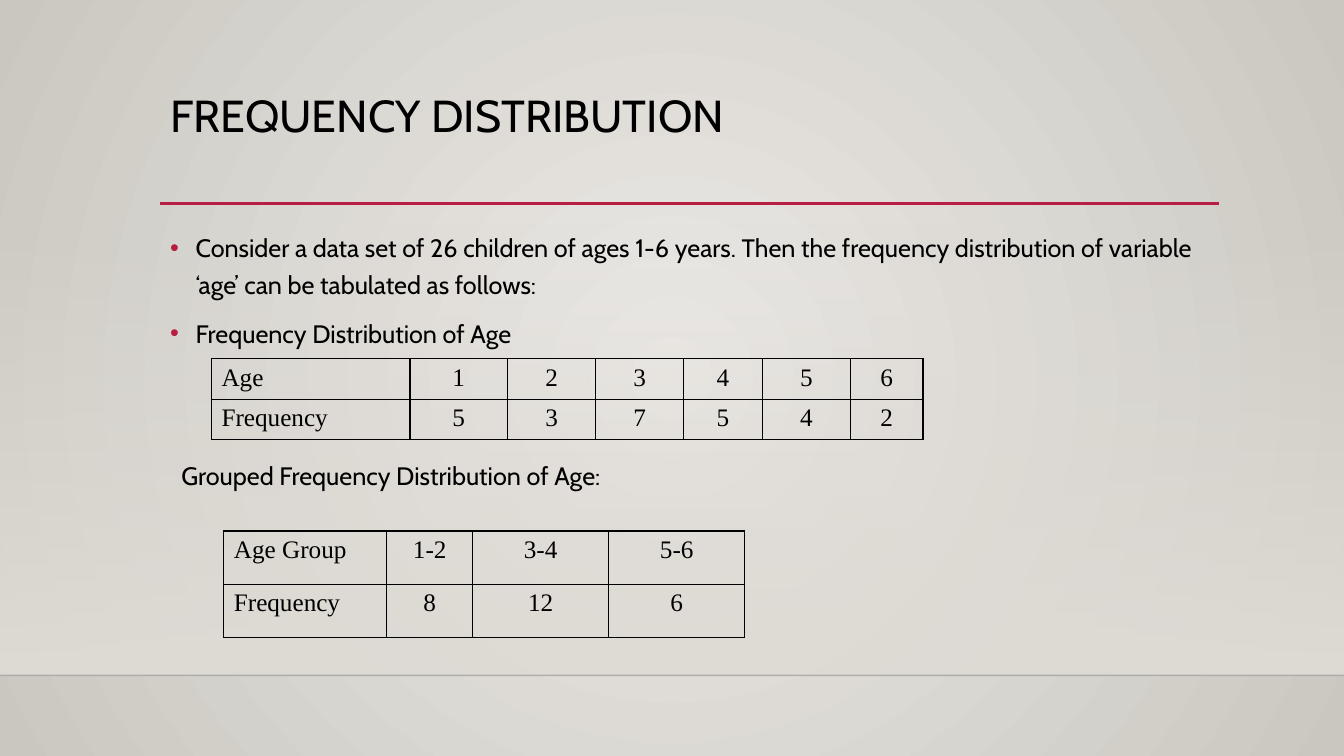
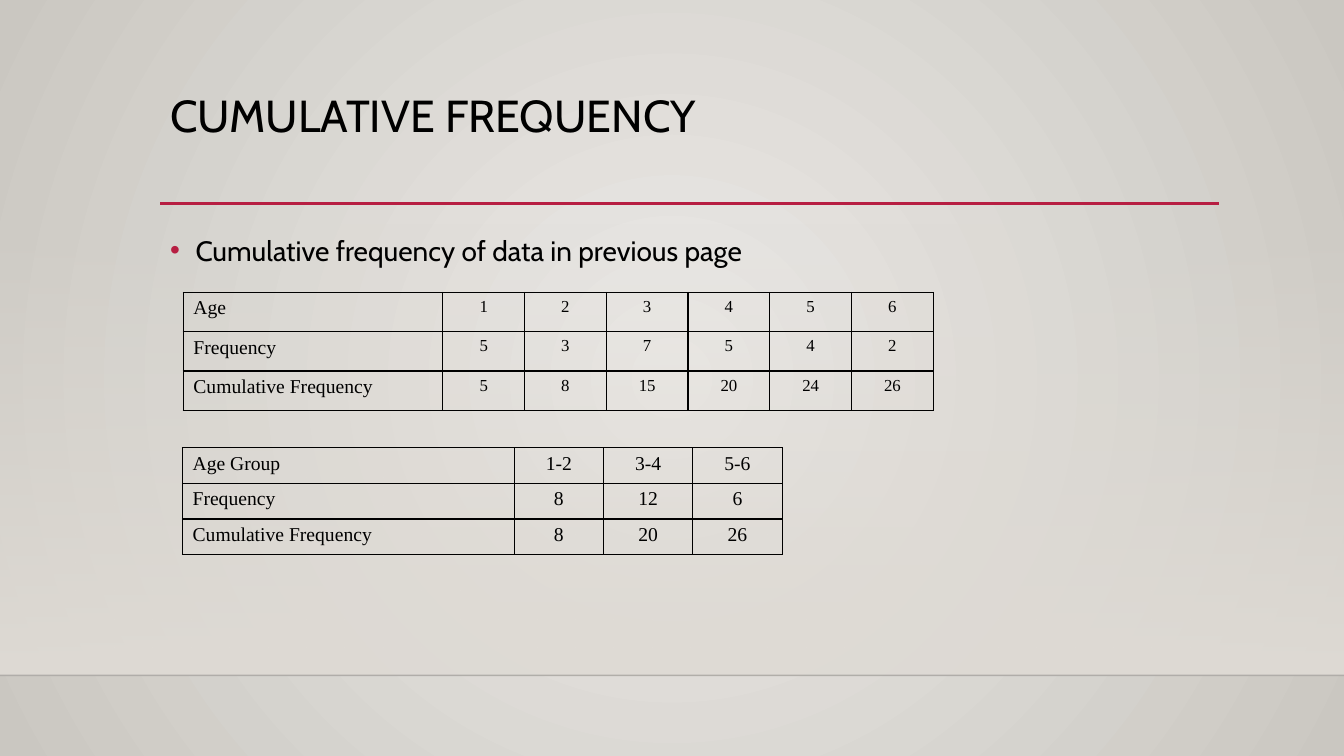
from pptx import Presentation
from pptx.dml.color import RGBColor
from pptx.enum.shapes import MSO_CONNECTOR, MSO_SHAPE
from pptx.enum.text import PP_ALIGN
from pptx.oxml import parse_xml
from pptx.oxml.ns import nsdecls, qn
from pptx.util import Cm, Pt

WIDTH, HEIGHT = 33.87, 19.05
LEFT, CONTENT_WIDTH = 4.04, 26.67
RULE_Y, RULE_RIGHT = 5.13, 30.73
BAND_TOP, FLOOR_Y = 5.61, 17.02
BLACK, CRIMSON, FLOOR_LINE = "000000", "B71E42", "000001"
BACKDROP = [(0, "ECEAE7", 100), (100, "CAC7C1", 100)]
BAND = [(0, "DFDBD5", 0), (100, "DFDBD5", 100)]
SANS, SERIF = "Cabin", "Times New Roman"

SLIDES = [
    {
        "title": "FREQUENCY DISTRIBUTION",
        "bullets": [
            "Consider a data set of 26 children of ages 1-6 years. Then the frequency "
            "distribution of variable ‘age’ can be tabulated as follows: ",
            "Frequency Distribution of Age",
        ],
        "bullet_size": 18,
        "captions": [("Grouped Frequency Distribution of Age:", 4.32, 11.48, 16.94, 1.02)],
        "tables": [
            {
                "at": (5.33, 9.04), "row_height": 0.96, "sizes": (18, 18),
                "columns": [5, 2.46, 2.22, 2.22, 1.98, 2.22, 1.83],
                "rows": [("Age", 1, 2, 3, 4, 5, 6), ("Frequency", 5, 3, 7, 5, 4, 2)],
            },
            {
                "at": (5.64, 13.38), "row_height": 1.34, "sizes": (18, 18),
                "columns": [4.11, 2.16, 3.43, 3.43],
                "rows": [("Age Group", "1-2", "3-4", "5-6"), ("Frequency", 8, 12, 6)],
            },
        ],
    },
    {
        "title": "CUMULATIVE FREQUENCY",
        "bullets": ["Cumulative frequency of data in previous page"],
        "bullet_size": 20,
        "captions": [],
        "tables": [
            {
                "at": (4.62, 7.37), "row_height": 0.99, "sizes": (14, 12),
                "columns": [6.54] + [2.06] * 6,
                "rows": [
                    ("Age", 1, 2, 3, 4, 5, 6),
                    ("Frequency", 5, 3, 7, 5, 4, 2),
                    ("Cumulative Frequency", 5, 8, 15, 20, 24, 26),
                ],
            },
            {
                "at": (4.6, 11.28), "row_height": 0.9, "sizes": (14, 14),
                "columns": [8.36] + [2.25] * 3,
                "rows": [
                    ("Age Group", "1-2", "3-4", "5-6"),
                    ("Frequency", 8, 12, 6),
                    ("Cumulative Frequency", 8, 20, 26),
                ],
            },
        ],
    },
]


def color(code):
    return RGBColor.from_string(code)


def set_gradient(fill, holder, stops, direction):
    fill.solid()
    marks = "".join(
        f'<a:gs pos="{position * 1000}"><a:srgbClr val="{code}">'
        f'<a:alpha val="{opacity * 1000}"/></a:srgbClr></a:gs>'
        for position, code, opacity in stops
    )
    gradient = parse_xml(
        f'<a:gradFill {nsdecls("a")} rotWithShape="1"><a:gsLst>{marks}</a:gsLst>{direction}</a:gradFill>'
    )
    holder.replace(holder.find(qn("a:solidFill")), gradient)


def set_backdrop(master):
    fill = master.background.fill
    fill.solid()
    holder = next(master.element.iter(qn("p:bgPr")))
    center = '<a:fillToRect l="50000" t="50000" r="50000" b="50000"/>'
    set_gradient(fill, holder, BACKDROP, f'<a:path path="circle">{center}</a:path>')


def add_rule(page, left, right, y, code, weight, opacity=100):
    rule = page.shapes.add_connector(MSO_CONNECTOR.STRAIGHT, Cm(left), Cm(y), Cm(right), Cm(y))
    rule.line.width = Pt(weight)
    rule.line.color.rgb = color(code)
    tint = next(rule.element.iter(qn("a:srgbClr")))
    tint.append(parse_xml(f'<a:alpha {nsdecls("a")} val="{opacity * 1000}"/>'))
    rule.element.spPr.append(parse_xml(f'<a:effectLst {nsdecls("a")}/>'))


def add_frame(page):
    band = page.shapes.add_shape(
        MSO_SHAPE.RECTANGLE, 0, Cm(BAND_TOP), Cm(WIDTH), Cm(FLOOR_Y - BAND_TOP)
    )
    band.shadow.inherit = False
    band.line.fill.background()
    set_gradient(band.fill, band.element.spPr, BAND, '<a:lin ang="5400000" scaled="0"/>')
    add_rule(page, 0, WIDTH, FLOOR_Y, FLOOR_LINE, 1, 20)
    add_rule(page, LEFT, RULE_RIGHT, RULE_Y, CRIMSON, 2.5)


def style(para, size, font):
    for span in para.runs:
        span.font.size = Pt(size)
        span.font.name = font
        span.font.color.rgb = color(BLACK)


def add_text(page, lines, left, top, width, height, size, spacing=1.0):
    box = page.shapes.add_textbox(Cm(left), Cm(top), Cm(width), Cm(height))
    frame = box.text_frame
    frame.word_wrap = True
    frame.text = "\n".join(lines)
    for para in frame.paragraphs:
        para.line_spacing = spacing
        style(para, size, SANS)
    return frame.paragraphs


def add_bullet(para, size):
    para.space_before = Pt(size / 2)
    properties = para._p.get_or_add_pPr()
    properties.set("marL", str(Cm(0.64)))
    properties.set("indent", str(-Cm(0.64)))
    for part in (
        f'<a:buClr {nsdecls("a")}><a:srgbClr val="{CRIMSON}"/></a:buClr>',
        f'<a:buFont {nsdecls("a")} typeface="Arial"/>',
        f'<a:buChar {nsdecls("a")} char="•"/>',
    ):
        properties.append(parse_xml(part))


def add_borders(cell):
    properties = cell._tc.get_or_add_tcPr()
    for side in ("lnL", "lnR", "lnT", "lnB"):
        properties.append(parse_xml(
            f'<a:{side} {nsdecls("a")} w="{Pt(1)}"><a:solidFill>'
            f'<a:srgbClr val="{BLACK}"/></a:solidFill></a:{side}>'
        ))


def add_grid(page, at, columns, row_height, rows, sizes):
    left, top = at
    table = page.shapes.add_table(
        len(rows), len(columns), Cm(left), Cm(top), Cm(sum(columns)), Cm(row_height * len(rows))
    ).table
    table.first_row = table.horz_banding = False
    for column, width in zip(table.columns, columns):
        column.width = Cm(width)
    for row, values in zip(table.rows, rows):
        row.height = Cm(row_height)
        for index, (cell, value) in enumerate(zip(row.cells, values)):
            add_borders(cell)
            cell.fill.background()
            para = cell.text_frame.paragraphs[0]
            para.text = str(value)
            para.alignment = PP_ALIGN.CENTER if index else PP_ALIGN.LEFT
            style(para, sizes[min(index, 1)], SERIF)


deck = Presentation()
deck.slide_width, deck.slide_height = Cm(WIDTH), Cm(HEIGHT)
set_backdrop(deck.slide_master)
for content in SLIDES:
    page = deck.slides.add_slide(deck.slide_layouts[6])
    add_frame(page)
    add_text(page, [content["title"]], LEFT, 2.24, CONTENT_WIDTH, 1.63, 32, 0.9)
    size = content["bullet_size"]
    for para in add_text(page, content["bullets"], LEFT, 5.59, CONTENT_WIDTH, 9.58, size, 1.2):
        add_bullet(para, size)
    for table in content["tables"]:
        add_grid(page, **table)
    for caption, left, top, width, height in content["captions"]:
        add_text(page, [caption], left, top, width, height, 18)
deck.save("out.pptx")
